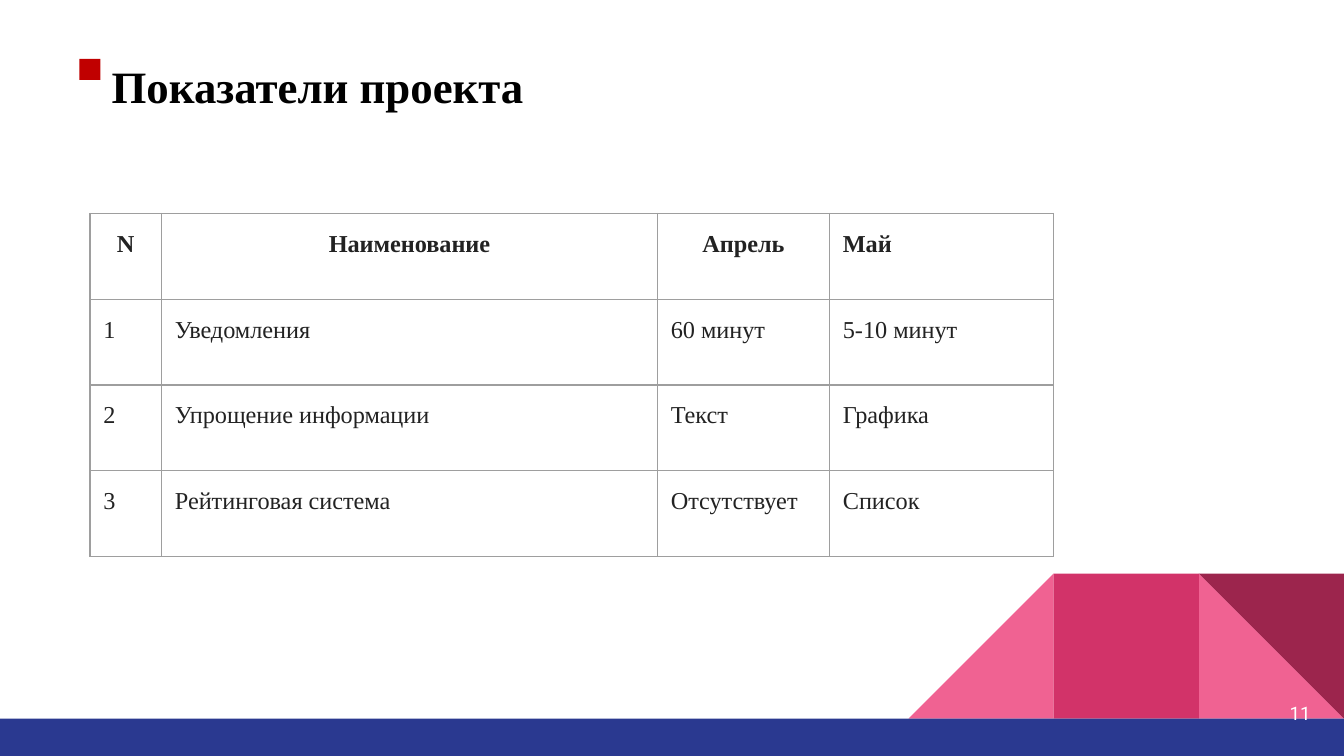
"""Build the project indicators slide with its comparison table."""
from dataclasses import dataclass

from lxml.etree import SubElement
from pptx import Presentation
from pptx.dml.color import RGBColor
from pptx.enum.shapes import MSO_SHAPE as Preset
from pptx.enum.text import MSO_ANCHOR as Anchor, MSO_AUTO_SIZE as AutoSize, PP_ALIGN as Align
from pptx.oxml.ns import qn
from pptx.util import Pt


@dataclass(frozen=True)
class Theme:
    serif: str = "Times New Roman"
    sans: str = "Roboto"
    title_size: float = 24
    table_size: float = 13
    number_size: float = 10
    black: str = "000000"
    white: str = "FFFFFF"
    ink: str = "222222"
    grid: str = "9E9E9E"
    pink: str = "F06292"
    rose: str = "D23369"
    wine: str = "9C254D"
    navy: str = "2A3990"
    red: str = "C00000"


THEME = Theme()
WIDTH, HEIGHT = 720, 405
TILE, BAR = 77.75, 20
COLUMNS = (38.3, 265.7, 92.2, 120.2)
ROW_HEIGHT = 46
ROWS = (
    ("N", "Наименование", "Апрель", "Май"),
    ("1", "Уведомления", "60 минут", "5-10 минут"),
    ("2", "Упрощение информации", "Текст", "Графика"),
    ("3", "Рейтинговая система", "Отсутствует", "Список"),
)


def write(frame, text, font, size, color, bold=False, align=Align.LEFT):
    frame.text = text
    para = frame.paragraphs[0]
    para.alignment = align
    for span in para.runs:
        span.font.name = font
        span.font.size = Pt(size)
        span.font.bold = bold
        span.font.color.rgb = RGBColor.from_string(color)
    return para


def set_margins(target, side, vertical):
    target.margin_left = target.margin_right = Pt(side)
    target.margin_top = target.margin_bottom = Pt(vertical)


def add_block(page, preset, left, top, width, height, color):
    block = page.shapes.add_shape(preset, Pt(left), Pt(top), Pt(width), Pt(height))
    block.shadow.inherit = False
    block.fill.solid()
    block.fill.fore_color.rgb = RGBColor.from_string(color)
    block.line.fill.background()
    return block


def add_decoration(page):
    top = HEIGHT - BAR - TILE
    left, middle, right = (WIDTH - TILE * count for count in (3, 2, 1))
    add_block(page, Preset.RIGHT_TRIANGLE, right, top, TILE, TILE, THEME.pink)
    slope = add_block(page, Preset.RIGHT_TRIANGLE, left, top, TILE, TILE, THEME.pink)
    slope._element.spPr.xfrm.set("flipH", "1")
    add_block(page, Preset.RECTANGLE, middle, top, TILE, TILE, THEME.rose)
    corner = add_block(page, Preset.RIGHT_TRIANGLE, right, top, TILE, TILE, THEME.wine)
    corner.rotation = 180
    add_block(page, Preset.RECTANGLE, 0, HEIGHT - BAR, WIDTH, BAR, THEME.navy)


def add_title(page, text):
    add_block(page, Preset.RECTANGLE, 42.5, 31.5, 11.3, 11.3, THEME.red)
    title = page.shapes.title
    title.left, title.top, title.width, title.height = Pt(52.6), Pt(20.2), Pt(312.5), Pt(51)
    frame = title.text_frame
    frame.auto_size = AutoSize.NONE
    frame.vertical_anchor = Anchor.MIDDLE
    set_margins(frame, 7.2, 3.6)
    write(frame, text, THEME.serif, THEME.title_size, THEME.black, bold=True)


def add_borders(cell):
    properties = cell._tc.get_or_add_tcPr()
    for side in ("lnL", "lnR", "lnT", "lnB"):
        line = SubElement(properties, qn(f"a:{side}"), w=str(Pt(0.75)))
        fill = SubElement(line, qn("a:solidFill"))
        SubElement(fill, qn("a:srgbClr"), val=THEME.grid)


def add_indicators(page, left, top):
    size = Pt(sum(COLUMNS)), Pt(ROW_HEIGHT * len(ROWS))
    table = page.shapes.add_table(len(ROWS), len(COLUMNS), Pt(left), Pt(top), *size).table
    table.first_row = table.horz_banding = False
    for column, width in zip(table.columns, COLUMNS):
        column.width = Pt(width)
    for row_index, texts in enumerate(ROWS):
        table.rows[row_index].height = Pt(ROW_HEIGHT)
        header = row_index == 0
        for column_index, text in enumerate(texts):
            cell = table.cell(row_index, column_index)
            centered = header and column_index < len(COLUMNS) - 1
            para = write(cell.text_frame, text, THEME.serif, THEME.table_size, THEME.ink,
                         bold=header, align=Align.CENTER if centered else Align.LEFT)
            para.line_spacing = 1.15
            set_margins(cell, 7.2, 7.2)
            add_borders(cell)
            cell.fill.background()


def add_page_number(page, text):
    box = page.shapes.add_textbox(Pt(666), Pt(366.5), Pt(43.2), Pt(31))
    frame = box.text_frame
    frame.word_wrap = True
    frame.vertical_anchor = Anchor.MIDDLE
    set_margins(frame, 7.2, 7.2)
    write(frame, text, THEME.sans, THEME.number_size, THEME.white, align=Align.RIGHT)


def main():
    deck = Presentation()
    deck.slide_width, deck.slide_height = Pt(WIDTH), Pt(HEIGHT)
    page = deck.slides.add_slide(deck.slide_layouts.get_by_name("Title Only"))
    add_decoration(page)
    add_title(page, "Показатели проекта")
    add_indicators(page, 48.2, 114.3)
    add_page_number(page, "11")
    deck.save("out.pptx")


if __name__ == "__main__":
    main()
